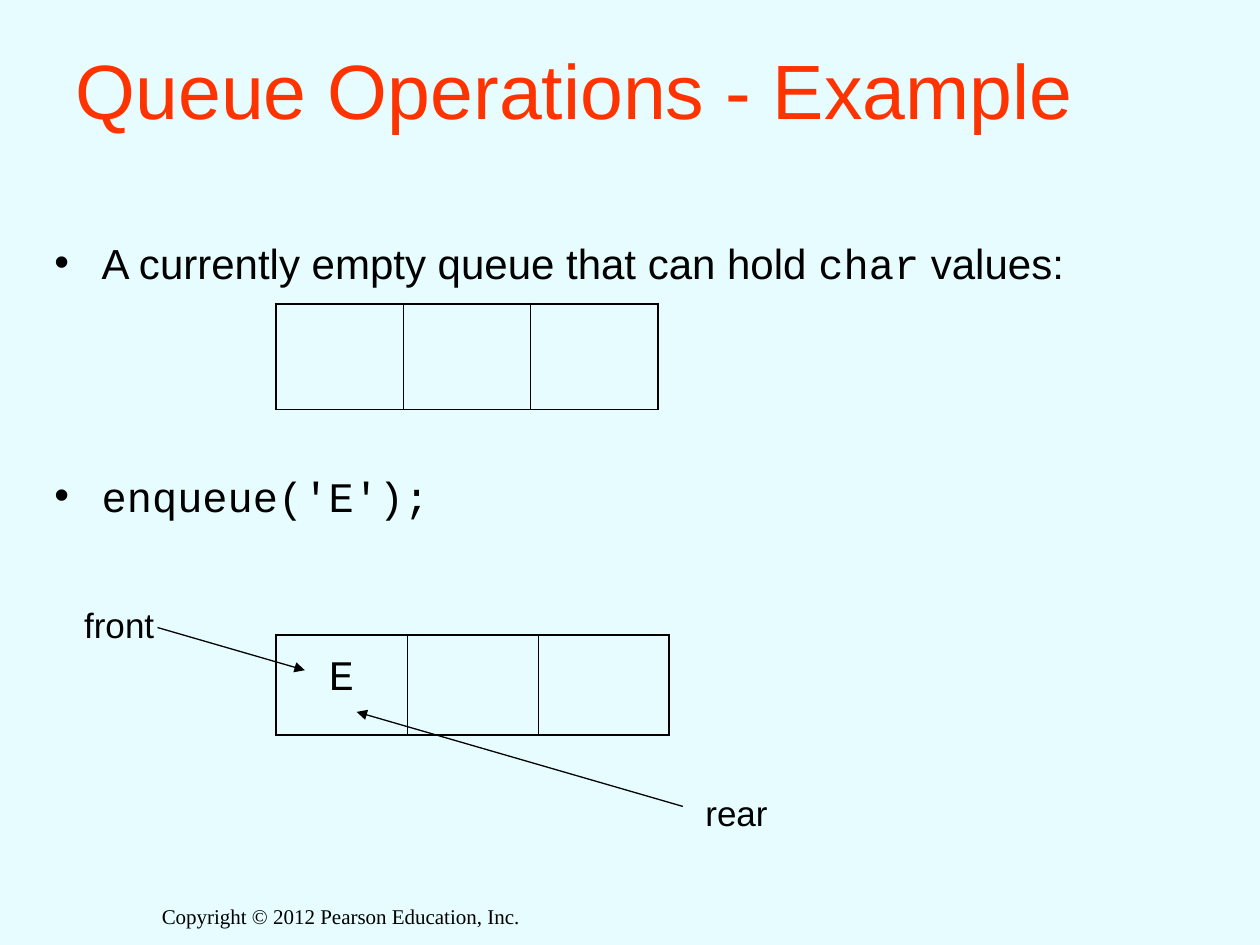
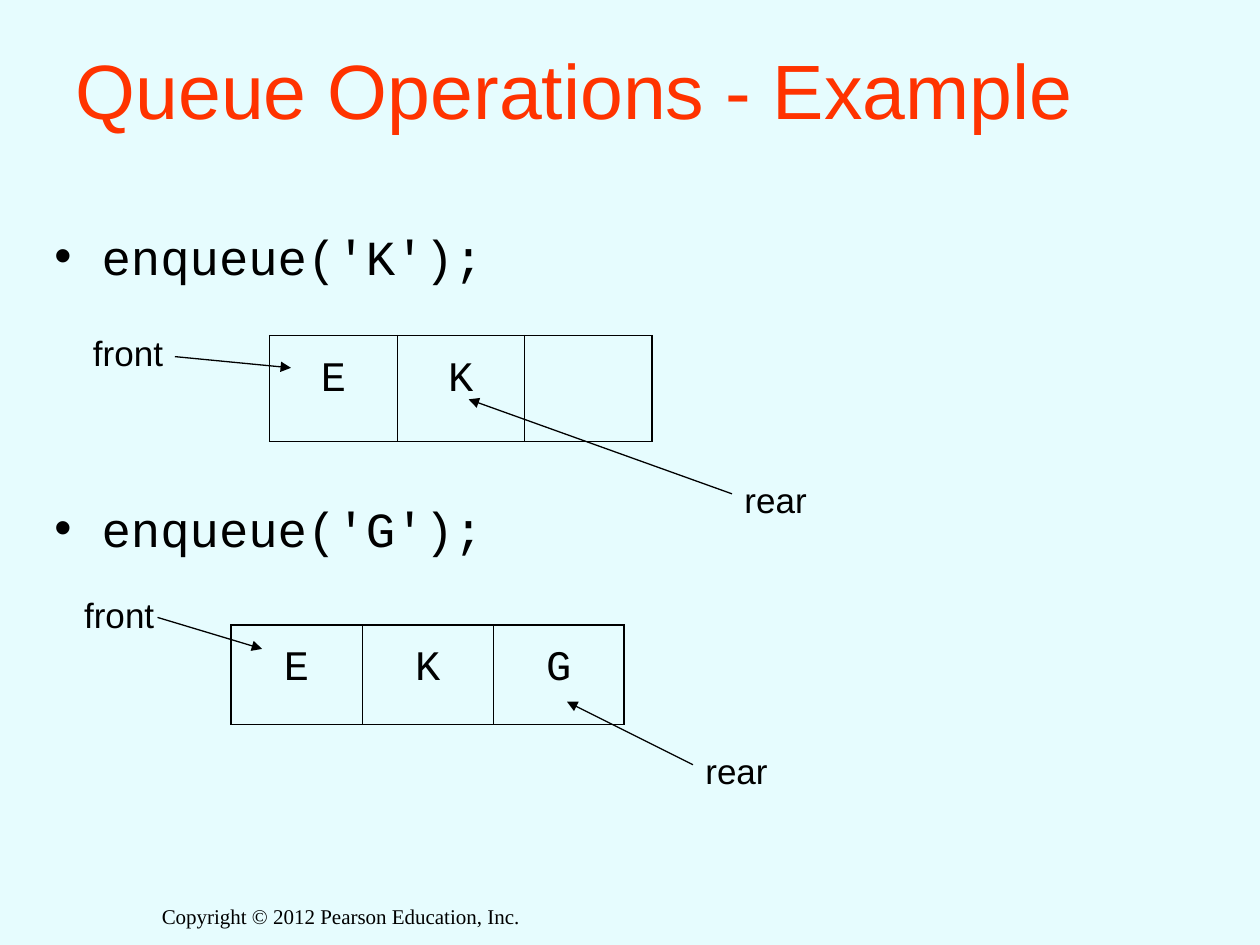
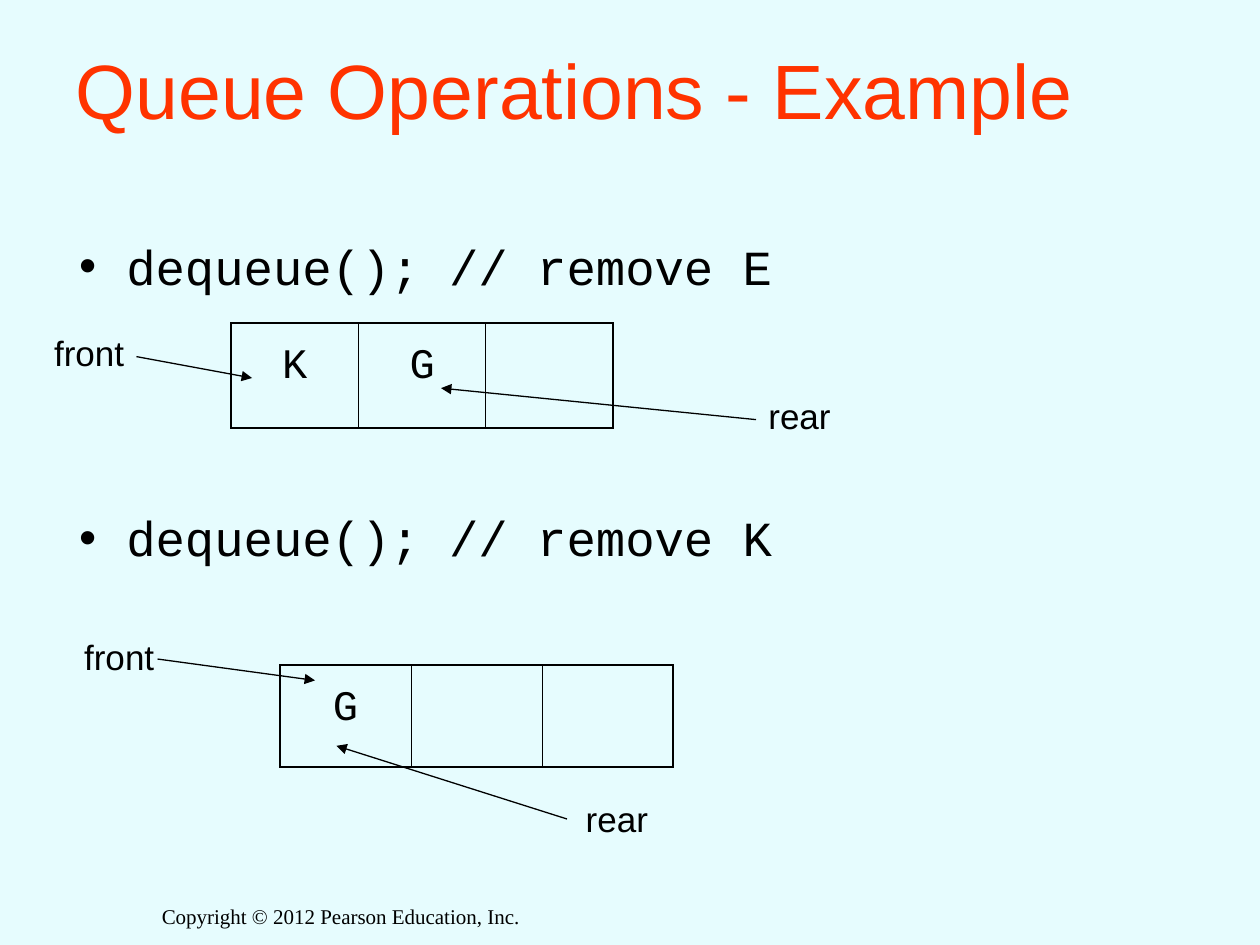
from dataclasses import dataclass
from typing import NamedTuple

from lxml.etree import SubElement
from pptx import Presentation
from pptx.dml.color import RGBColor
from pptx.enum.shapes import MSO_CONNECTOR
from pptx.enum.text import MSO_ANCHOR, MSO_AUTO_SIZE, PP_ALIGN
from pptx.oxml import parse_xml
from pptx.oxml.ns import nsdecls, qn
from pptx.util import Pt


# Theme: colours, fonts and type sizes
@dataclass(frozen=True)
class Theme:
    background: str = "E6FCFE"
    title: str = "FF3300"
    ink: str = "000000"
    sans: str = "Arial"
    mono: str = "Courier New"
    serif: str = "Times New Roman"
    title_size: float = 44
    cell_size: float = 24
    label_size: float = 20
    footer_size: float = 12
    outer_line: float = 1.08
    inner_line: float = 0.45
    arrow_line: float = 0.75


THEME = Theme()
TITLE = "Queue Operations - Example"
FOOTER = "Copyright © 2012 Pearson Education, Inc."
LABEL_WIDTHS = {"front": 54.5, "rear": 50}
LABEL_HEIGHT = 31.7
HANGING = 27
QUEUE_SIZE = 3


# Content types; all lengths are points
class Box(NamedTuple):
    left: float
    top: float
    width: float
    height: float


class Point(NamedTuple):
    x: float
    y: float


class Span(NamedTuple):
    text: str
    font: str = THEME.mono


@dataclass(frozen=True)
class Pointer:
    name: str
    label: Point
    start: Point
    tip: Point


@dataclass(frozen=True)
class Queue:
    left: float
    top: float
    cell_width: float
    height: float
    items: str
    pointers: tuple[Pointer, ...] = ()


@dataclass(frozen=True)
class Step:
    box: Box
    size: float
    gap: float
    bullets: tuple[tuple[Span, ...], ...]
    queues: tuple[Queue, ...]


STEPS = (
    Step(
        Box(24, 132, 678, 390), 24, 104.3,
        ((Span("A currently empty queue that can hold ", THEME.sans), Span("char"),
          Span(" values:", THEME.sans)),
         (Span("enqueue('E');"),)),
        (Queue(157.7, 173.6, 72.8, 60.5, ""),
         Queue(157.7, 363, 74.9, 57, "E", (
             Pointer("front", Point(41, 341.5), Point(90, 358.6), Point(174.2, 383)),
             Pointer("rear", Point(396, 448.6), Point(390.2, 460.8), Point(203.8, 406.8)),
         ))),
    ),
    Step(
        Box(24, 126, 618, 366), 28, 121.5,
        ((Span("enqueue('K');"),), (Span("enqueue('G');"),)),
        (Queue(154.1, 191.8, 72.8, 60.5, "EK", (
            Pointer("front", Point(46, 185.8), Point(100, 203.8), Point(166.3, 210.2)),
            Pointer("rear", Point(418.3, 270), Point(418.3, 282.2), Point(267.8, 228.2)),
        )),
         Queue(132, 357.1, 74.9, 57, "EKG", (
             Pointer("front", Point(41, 335.5), Point(90, 352.8), Point(149.8, 370.8)),
             Pointer("rear", Point(396, 424.8), Point(396, 437), Point(324, 401)),
         ))),
    ),
    Step(
        Box(38.1, 131.5, 623, 317), 28, 121.5,
        ((Span("dequeue(); // remove E"),), (Span("dequeue(); // remove K"),)),
        (Queue(132, 184.6, 72.8, 60, "KG", (
            Pointer("front", Point(23.8, 185.8), Point(78, 203.8), Point(144, 216)),
            Pointer("rear", Point(432, 221.8), Point(432, 239.8), Point(252, 221.8)),
        )),
         Queue(160, 380, 74.9, 58.2, "G", (
             Pointer("front", Point(41, 359.5), Point(90, 376.6), Point(180, 388.8)),
             Pointer("rear", Point(327.6, 452.2), Point(324, 468), Point(192.2, 426.2)),
         ))),
    ),
)


# Text helpers
def add_run(p, text: str, font: str, size: float, color: str = THEME.ink) -> None:
    r = p.add_run()
    r.text = text
    r.font.name = font
    r.font.size = Pt(size)
    r.font.color.rgb = RGBColor.from_string(color)


def add_textbox(s, box: Box, wrap: bool = True):
    sp = s.shapes.add_textbox(*map(Pt, box))
    sp.text_frame.word_wrap = wrap
    return sp


def add_bullet(p, color: str) -> None:
    pPr = p._p.get_or_add_pPr()
    pPr.set("marL", str(Pt(HANGING)))
    pPr.set("indent", str(-Pt(HANGING)))
    SubElement(SubElement(pPr, qn("a:buClr")), qn("a:srgbClr")).set("val", color)
    SubElement(pPr, qn("a:buFont")).set("typeface", THEME.sans)
    SubElement(pPr, qn("a:buChar")).set("char", "•")


# Shared slide parts
def add_footer(s) -> None:
    """Place the copyright line on the layout, so every slide shows it."""
    layout = s.slide_layout
    for ph in list(layout.placeholders):
        if ph.placeholder_format.idx:
            ph.element.getparent().remove(ph.element)
    sp = add_textbox(s, Box(77.8, 512.6, 234, 22))
    p = sp.text_frame.paragraphs[0]
    p.alignment = PP_ALIGN.CENTER
    add_run(p, FOOTER, THEME.serif, THEME.footer_size)
    layout.shapes.element.append(sp.element)


def format_title(s) -> None:
    sp = s.shapes.title
    sp.left, sp.top, sp.width, sp.height = map(Pt, Box(36, 5.5, 600, 90))
    tf = sp.text_frame
    tf.vertical_anchor = MSO_ANCHOR.MIDDLE
    tf.auto_size = MSO_AUTO_SIZE.NONE
    p = tf.paragraphs[0]
    p.alignment = PP_ALIGN.LEFT
    add_run(p, TITLE, THEME.sans, THEME.title_size, THEME.title)


def add_bullets(s, step: Step) -> None:
    tf = add_textbox(s, step.box).text_frame
    for i, spans in enumerate(step.bullets):
        p = tf.add_paragraph() if i else tf.paragraphs[0]
        add_bullet(p, THEME.ink)
        if i:
            p.space_before = Pt(step.gap)
        for span in spans:
            add_run(p, span.text, span.font, step.size)


# Queue diagrams
def set_borders(cell, column: int) -> None:
    outer, inner = THEME.outer_line, THEME.inner_line
    widths = {
        "L": inner if column else outer,
        "R": inner if column < QUEUE_SIZE - 1 else outer,
        "T": outer,
        "B": outer,
    }
    tcPr = cell._tc.get_or_add_tcPr()
    for i, (side, width) in enumerate(widths.items()):
        tcPr.insert(i, parse_xml(
            f'<a:ln{side} {nsdecls("a")} w="{Pt(width)}"><a:solidFill>'
            f'<a:srgbClr val="{THEME.ink}"/></a:solidFill></a:ln{side}>'))


def add_queue(s, queue: Queue) -> None:
    frame = s.shapes.add_table(
        1, QUEUE_SIZE, Pt(queue.left), Pt(queue.top),
        Pt(queue.cell_width * QUEUE_SIZE), Pt(queue.height))
    table = frame.table
    table.first_row = table.horz_banding = False
    for i in range(QUEUE_SIZE):
        table.columns[i].width = Pt(queue.cell_width)
        cell = table.cell(0, i)
        cell.fill.background()
        set_borders(cell, i)
        if i < len(queue.items):
            p = cell.text_frame.paragraphs[0]
            p.alignment = PP_ALIGN.CENTER
            p.line_spacing = 1.3
            add_run(p, queue.items[i], THEME.mono, THEME.cell_size)


def add_pointer(s, pointer: Pointer) -> None:
    box = Box(*pointer.label, LABEL_WIDTHS[pointer.name], LABEL_HEIGHT)
    tf = add_textbox(s, box, wrap=False).text_frame
    tf.auto_size = MSO_AUTO_SIZE.SHAPE_TO_FIT_TEXT
    add_run(tf.paragraphs[0], pointer.name, THEME.sans, THEME.label_size)

    arrow = s.shapes.add_connector(
        MSO_CONNECTOR.STRAIGHT, *map(Pt, (*pointer.start, *pointer.tip)))
    arrow.line.color.rgb = RGBColor.from_string(THEME.ink)
    arrow.line.width = Pt(THEME.arrow_line)
    SubElement(arrow.line._get_or_add_ln(), qn("a:tailEnd")).set("type", "triangle")
    SubElement(arrow.element.spPr, qn("a:effectLst"))


def build_slide(s, step: Step) -> None:
    format_title(s)
    add_bullets(s, step)
    for queue in step.queues:
        add_queue(s, queue)
    for queue in step.queues:
        for pointer in queue.pointers:
            add_pointer(s, pointer)


def main() -> None:
    prs = Presentation()
    prs.slide_width, prs.slide_height = Pt(720), Pt(540)
    fill = prs.slide_master.background.fill
    fill.solid()
    fill.fore_color.rgb = RGBColor.from_string(THEME.background)
    title_only = prs.slide_layouts.get_by_name("Title Only")
    for i, step in enumerate(STEPS):
        s = prs.slides.add_slide(title_only)
        if i == 0:
            add_footer(s)
        build_slide(s, step)
    prs.save("out.pptx")


if __name__ == "__main__":
    main()
